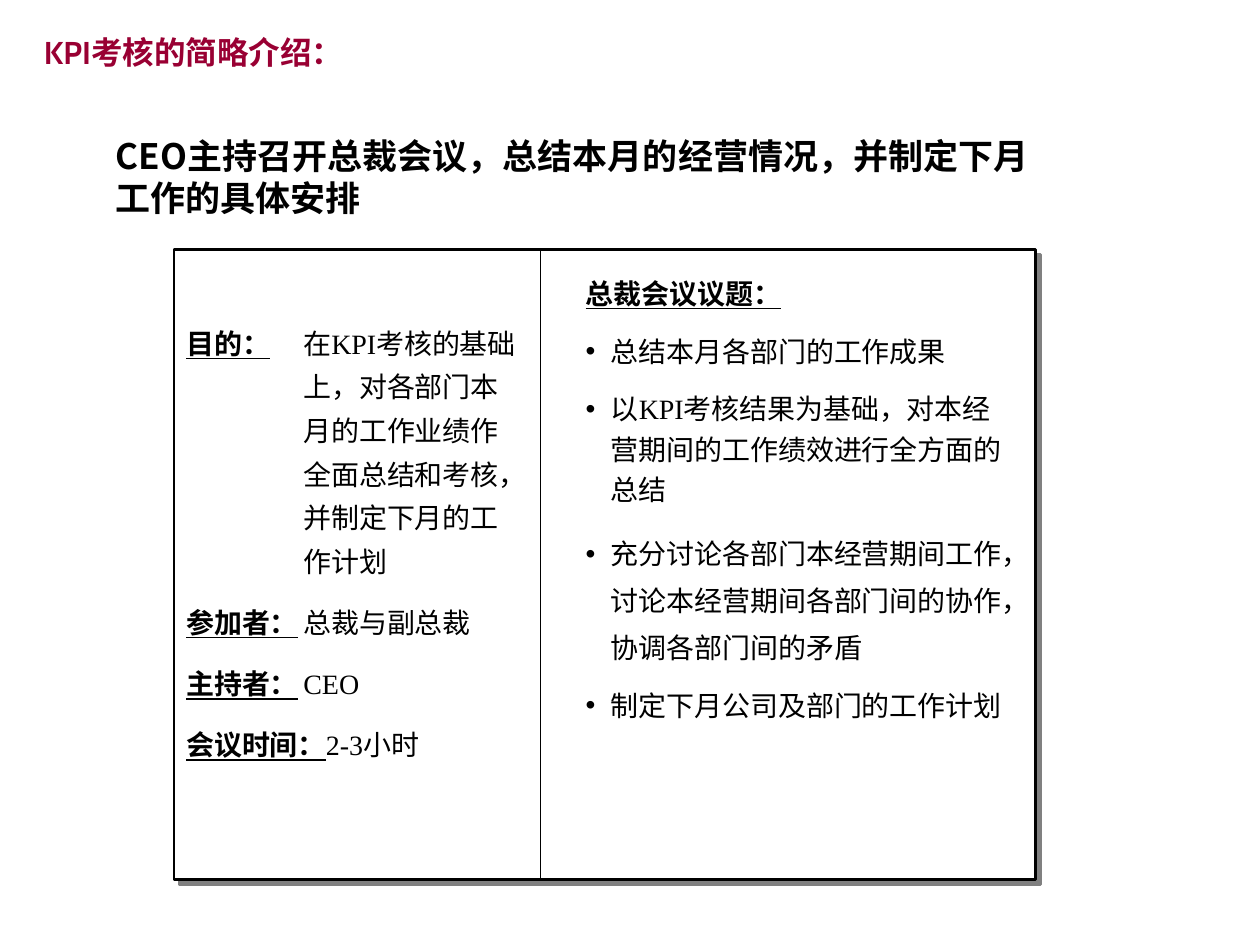
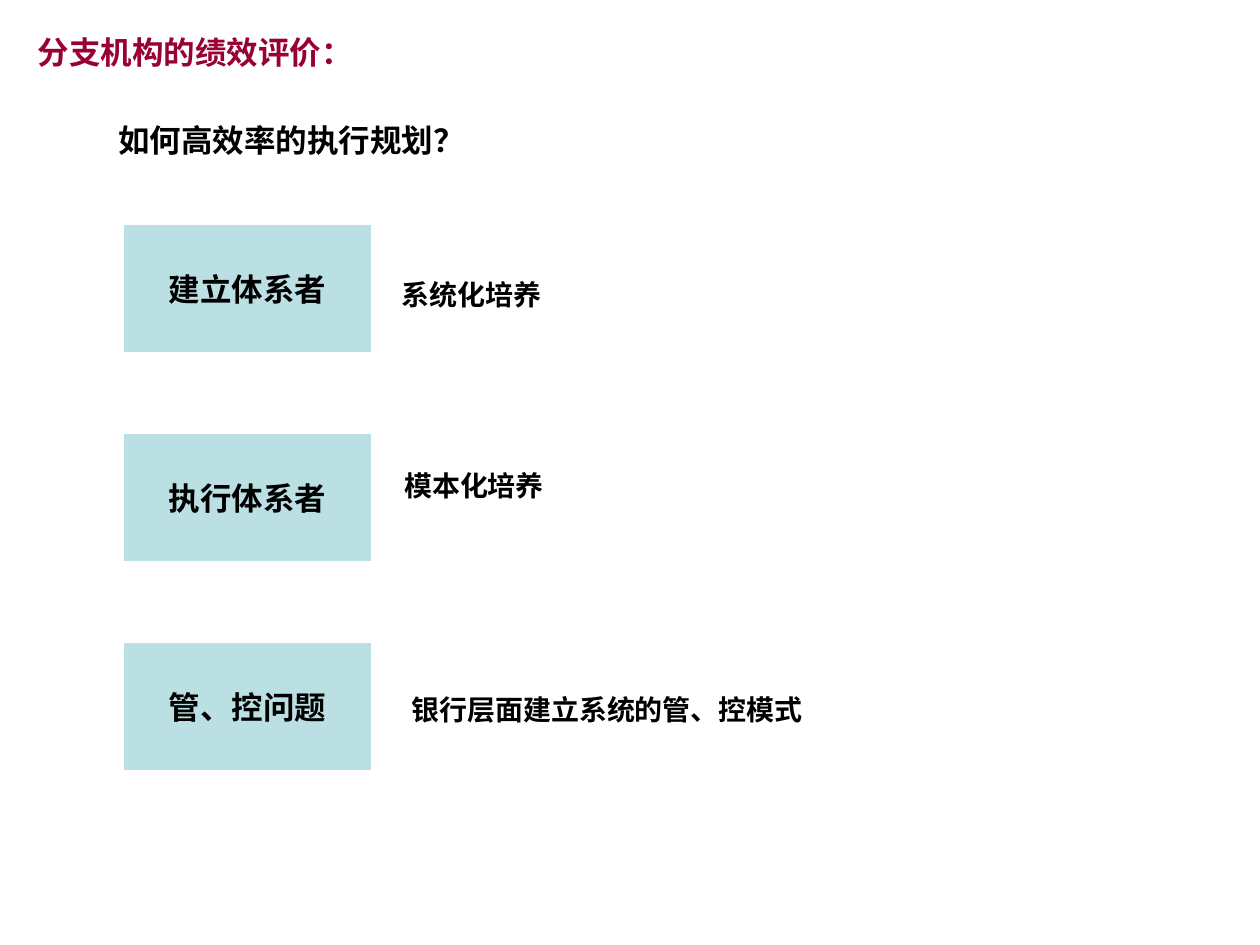
from lxml import etree
from pptx import Presentation, util as u
from pptx.dml.color import RGBColor
from pptx.enum import shapes, text
from pptx.oxml import parse_xml
from pptx.oxml.ns import nsdecls, qn

PX = 9144  # 100 px to the inch
BLACK = RGBColor(0x00, 0x00, 0x00)
WHITE = RGBColor(0xFF, 0xFF, 0xFF)
CRIMSON = RGBColor(0x99, 0x00, 0x33)
PALE_TEAL = RGBColor(0xBB, 0xE0, 0xE3)
CHINESE_FONT = "Noto Sans CJK SC"

TITLE = {"size": u.Pt(18), "bold": True, "color": CRIMSON}
HEADING = {"name": "Arial", "size": u.Pt(18), "bold": True}
LABEL = {**HEADING, "size": u.Pt(16)}
BODY = {"name": "Times New Roman", "size": u.Pt(16)}
TERM = {**BODY, "bold": True, "underline": True}


def write_runs(paragraph, runs):
    """Add (text, format) runs with a shared Chinese font and black as the default colour."""
    for words, run_format in runs:
        run = paragraph.add_run()
        run.text = words
        run.font.color.rgb = run_format.get("color", BLACK)
        for key, value in run_format.items():
            if key != "color":
                setattr(run.font, key, value)
        east_asian = etree.SubElement(run.font._element, qn("a:ea"))
        east_asian.set("typeface", CHINESE_FONT)


def add_text(slide, box, paragraphs, wrap=True, anchor=text.MSO_ANCHOR.TOP, hanging=0):
    """Add a text box; each paragraph is (runs, format, has_bullet)."""
    frame = slide.shapes.add_textbox(*(length * PX for length in box)).text_frame
    frame.word_wrap = wrap
    frame.vertical_anchor = anchor
    for index, (runs, paragraph_format, has_bullet) in enumerate(paragraphs):
        paragraph = frame.paragraphs[0] if index == 0 else frame.add_paragraph()
        properties = paragraph._p.get_or_add_pPr()
        if hanging:
            properties.set("marL", str(hanging * PX))
            properties.set("indent", str(-hanging * PX))
        if has_bullet:
            color = etree.SubElement(properties, qn("a:buClr"))
            etree.SubElement(color, qn("a:srgbClr")).set("val", str(BLACK))
            etree.SubElement(properties, qn("a:buFont")).set("typeface", "Arial")
            etree.SubElement(properties, qn("a:buChar")).set("char", "•")
        for key, value in paragraph_format.items():
            setattr(paragraph, key, value)
        if index:
            paragraph.space_before = u.Pt(10)
        write_runs(paragraph, runs)


presentation = Presentation()
presentation.slide_width = 1000 * PX
presentation.slide_height = 750 * PX
blank = presentation.slide_layouts[6]

# Slide 1: the monthly CEO meeting
slide = presentation.slides.add_slide(blank)
title_runs = [("KPI", {**TITLE, "name": "Cabin"}),
              ("考核的简略介绍：", {**TITLE, "name": CHINESE_FONT})]
add_text(slide, (25, 21, 268, 40), [(title_runs, {}, False)], wrap=False)

summary = "CEO主持召开总裁会议，总结本月的经营情况，并制定下月工作的具体安排"
summary_format = {"name": CHINESE_FONT, "size": u.Pt(20), "bold": True}
add_text(slide, (82, 95, 756, 90), [([(summary, summary_format)], {}, False)],
         anchor=text.MSO_ANCHOR.MIDDLE)

panel = slide.shapes.add_shape(shapes.MSO_SHAPE.RECTANGLE,
                               138 * PX, 198 * PX, 684 * PX, 500 * PX)
panel.fill.solid()
panel.fill.fore_color.rgb = WHITE
panel.line.color.rgb = BLACK
panel.line.width = u.Pt(1.5)
panel._element.spPr.append(parse_xml(
    f'<a:effectLst {nsdecls("a")}><a:outerShdw dist="{u.Pt(4.2)}" dir="2700000" algn="ctr" '
    'rotWithShape="0"><a:srgbClr val="808080"/></a:outerShdw></a:effectLst>'))

divider = slide.shapes.add_connector(shapes.MSO_CONNECTOR.STRAIGHT,
                                     429 * PX, panel.top, 429 * PX, panel.top + panel.height)
divider.line.color.rgb = BLACK
divider.line.width = u.Pt(0.75)
etree.SubElement(divider._element.spPr, qn("a:effectLst"))

meeting_facts = [
    ("目的：\t", "在KPI考核的基础上，对各部门本月的工作业绩作全面总结和考核，并制定下月的工作计划"),
    ("参加者：\t", "总裁与副总裁"),
    ("主持者：\t", "CEO"),
    ("会议时间：", "2-3小时"),
]
add_text(slide, (138, 246, 283, 413),
         [([(term, TERM), (fact, BODY)], {"line_spacing": 1.3}, False)
          for term, fact in meeting_facts], hanging=93)

topics = [
    ("总结本月各部门的工作成果", 1.2),
    ("以KPI考核结果为基础，对本经营期间的工作绩效进行全方面的总结", 1.2),
    ("充分讨论各部门本经营期间工作，讨论本经营期间各部门间的协作，协调各部门间的矛盾", 1.4),
    ("制定下月公司及部门的工作计划", 1.2),
]
agenda = [([("总裁会议议题：", TERM)], {"line_spacing": 1.2}, False)]
agenda += [([(topic, BODY)], {"line_spacing": spacing}, True) for topic, spacing in topics]
add_text(slide, (455, 209, 358, 461), agenda, hanging=20)

# Slide 2: evaluating the branches
slide = presentation.slides.add_slide(blank)
branch_title = [("分支机构的绩效评价：", {**TITLE, "name": "Arial"})]
add_text(slide, (20, 21, 500, 86), [(branch_title, {}, False)])
add_text(slide, (84, 91, 295, 40), [([("如何高效率的执行规划？", HEADING)], {}, False)], wrap=False)

roles = [
    ("建立体系者", "系统化培养", (309, 215, 131, 37)),
    ("执行体系者", "模本化培养", (311, 367, 131, 37)),
    ("管、控问题", "银行层面建立系统的管、控模式", (317, 545, 330, 37)),
]
for row, (role, approach, approach_box) in enumerate(roles):
    role_box = slide.shapes.add_shape(shapes.MSO_SHAPE.RECTANGLE,
                                      98 * PX, (178 + 166 * row) * PX, 197 * PX, 102 * PX)
    role_box.shadow.inherit = False
    role_box.fill.solid()
    role_box.fill.fore_color.rgb = PALE_TEAL
    role_box.line.color.rgb = WHITE
    role_box.line.width = u.Pt(0.75)
    role_box.text_frame.word_wrap = False
    role_box.text_frame.vertical_anchor = text.MSO_ANCHOR.MIDDLE
    paragraph = role_box.text_frame.paragraphs[0]
    paragraph.alignment = text.PP_ALIGN.CENTER
    write_runs(paragraph, [(role, HEADING)])
    add_text(slide, approach_box, [([(approach, LABEL)], {}, False)], wrap=False)

presentation.save("out.pptx")
